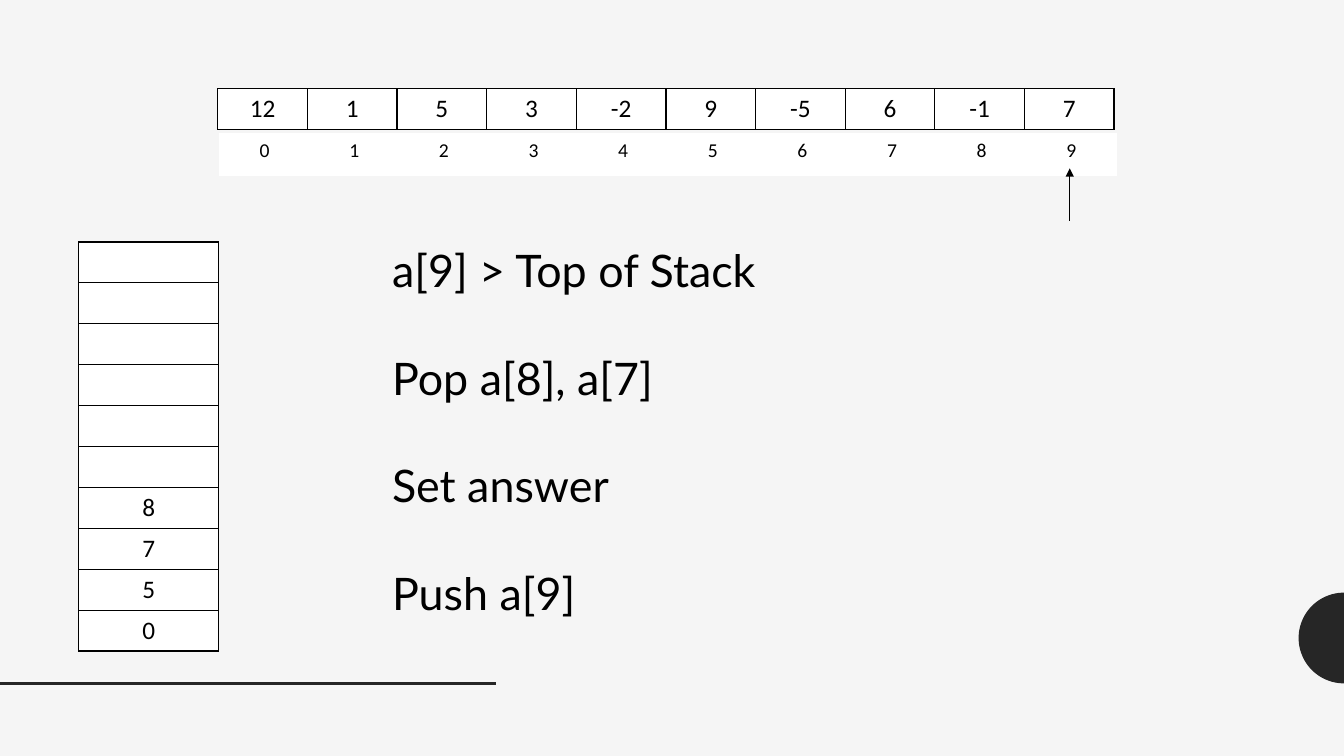
import math

import pptx
import pptx.chart.data
import pptx.dml.color
import pptx.enum.shapes
import pptx.enum.text
import pptx.oxml
import pptx.oxml.ns
import pptx.util
from pptx.util import Inches

COLORS = {"background": "F5F5F5", "accent": "262626", "ink": "000000", "cell": "FFFFFF"}
CELL_HEIGHT = 0.406
ARRAY_WIDTH = 0.889
ARRAY = ["12", "1", "5", "3", "-2", "9", "-5", "6", "-1", "7"]
STACK = [""] * 6 + ["8", "7", "5", "0"]
STEPS = ["a[9] > Top of Stack", "Pop a[8], a[7]", "Set answer", "Push a[9]"]


def color(name):
    return pptx.dml.color.RGBColor.from_string(COLORS[name])


def element(xml):
    return pptx.oxml.parse_xml(xml.replace(">", f" {pptx.oxml.ns.nsdecls('a')}>", 1))


class StackSlide:
    """Draws the array and stack elements in one shared style."""

    def __init__(self, page):
        self.page = page
        self.table_font = "Calibri"
        self.text_font = "Lato"
        page.background.fill.solid()
        page.background.fill.fore_color.rgb = color("background")

    def format_span(self, span, font, size):
        span.font.name = font
        span.font.size = pptx.util.Pt(size)
        span.font.color.rgb = color("ink")

    def half_circle(self, center_x, center_y, radius):
        steps = 48
        angles = [math.pi * (0.5 + step / steps) for step in range(steps + 1)]
        points = [(Inches(center_x + radius * math.cos(angle)),
                   Inches(center_y + radius * math.sin(angle))) for angle in angles]
        builder = self.page.shapes.build_freeform(*points[0], scale=1.0)
        builder.add_line_segments(points[1:], close=True)
        shape = builder.convert_to_shape()
        shape.shadow.inherit = False
        shape.fill.solid()
        shape.fill.fore_color.rgb = color("accent")
        shape.line.fill.background()

    def line(self, start, end, name, width, arrow=False):
        connector = self.page.shapes.add_connector(
            pptx.enum.shapes.MSO_CONNECTOR.STRAIGHT,
            *[Inches(value) for value in (*start, *end)])
        connector.line.color.rgb = color(name)
        connector.line.width = pptx.util.Pt(width)
        if arrow:
            connector.line._get_or_add_ln().append(element('<a:tailEnd type="triangle"></a:tailEnd>'))
        connector._element.spPr.append(element("<a:effectLst></a:effectLst>"))

    def table(self, rows, left, top, column_width, size=18, bordered=True):
        columns = len(rows[0])
        frame = self.page.shapes.add_table(
            len(rows), columns, Inches(left), Inches(top),
            Inches(column_width * columns), Inches(CELL_HEIGHT * len(rows)))
        grid = frame.table
        grid.first_row = False
        grid.horz_banding = False
        for column in grid.columns:
            column.width = Inches(column_width)
        for row, values in zip(grid.rows, rows):
            row.height = Inches(CELL_HEIGHT)
            for cell, value in zip(row.cells, values):
                self.fill_cell(cell, value, size, bordered)

    def fill_cell(self, cell, value, size, bordered):
        if bordered:
            properties = cell._tc.get_or_add_tcPr()
            for side in "LRTB":
                properties.append(element(
                    f'<a:ln{side} w="12700"><a:solidFill><a:srgbClr val="{COLORS["ink"]}"/>'
                    f'</a:solidFill></a:ln{side}>'))
        cell.fill.solid()
        cell.fill.fore_color.rgb = color("cell")
        if value:
            para = cell.text_frame.paragraphs[0]
            para.text = value
            para.alignment = pptx.enum.text.PP_ALIGN.CENTER
            self.format_span(para.runs[0], self.table_font, size)

    def text(self, lines, left, top, width, height, size, gap):
        box = self.page.shapes.add_textbox(*map(Inches, (left, top, width, height)))
        box.text_frame.word_wrap = True
        box.text_frame.text = "\n".join(lines)
        for index, para in enumerate(box.text_frame.paragraphs):
            if index:
                para.space_before = pptx.util.Pt(gap)
            self.format_span(para.runs[0], self.text_font, size)


def main():
    deck = pptx.Presentation()
    deck.slide_width = Inches(13.33)
    deck.slide_height = Inches(7.5)
    slide = StackSlide(deck.slides.add_slide(deck.slide_layouts[6]))
    slide.half_circle(13.33, 6.33, 0.45)
    slide.line((0, 6.78), (4.92, 6.78), "accent", 2)
    slide.table([ARRAY], 2.16, 0.88, ARRAY_WIDTH)
    indexes = [str(index) for index in range(len(ARRAY))]
    slide.table([indexes], 2.18, 1.33, ARRAY_WIDTH, size=14, bordered=False)
    slide.table([[value] for value in STACK], 0.78, 2.4, 1.39)
    slide.text(STEPS, 3.79, 2.36, 6.04, 3.87, size=32, gap=38.4)
    slide.line((10.61, 2.19), (10.61, 1.67), "ink", 0.5, arrow=True)
    deck.save("out.pptx")


if __name__ == "__main__":
    main()
